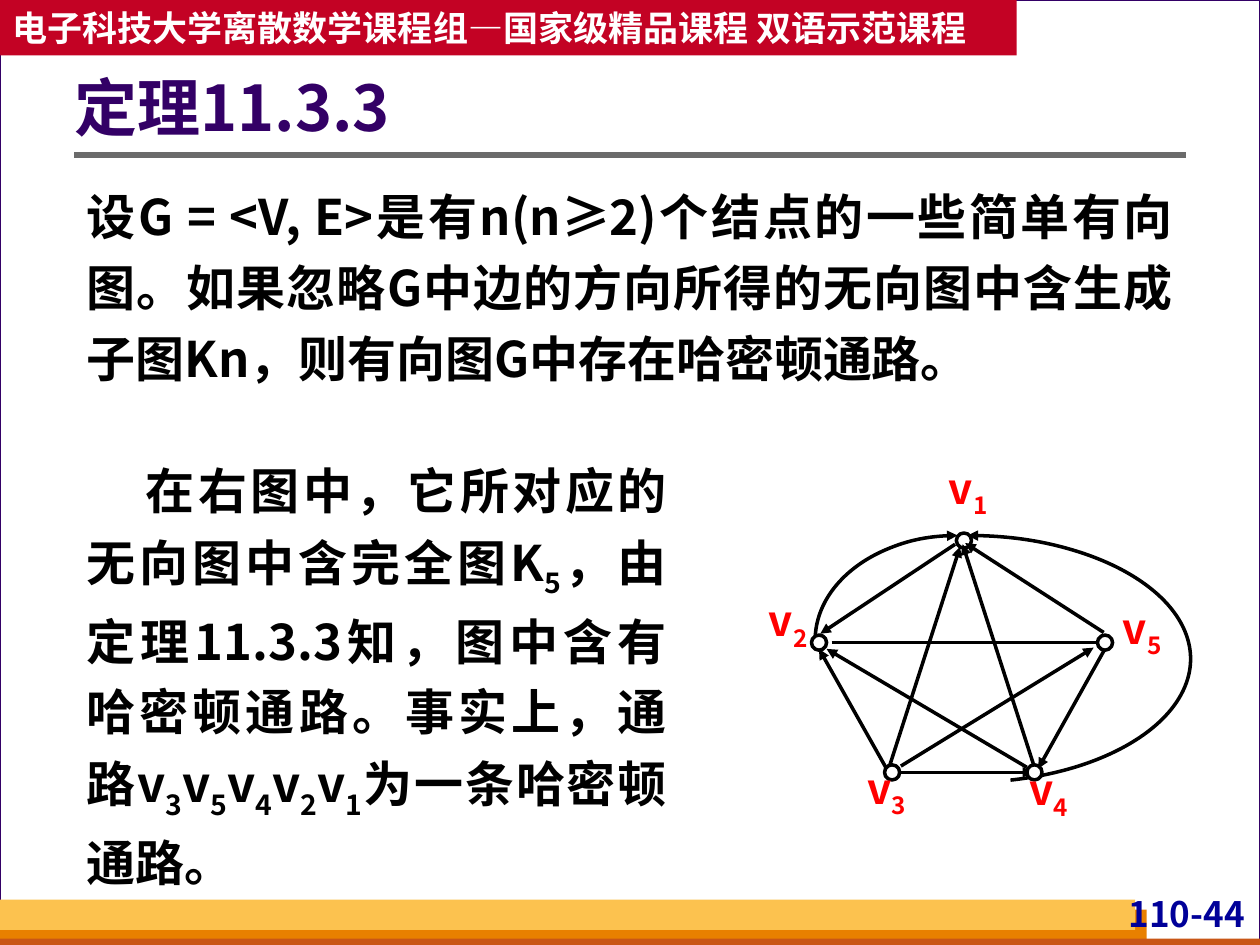
from dataclasses import dataclass

from lxml.etree import SubElement
from pptx import Presentation
from pptx.dml.color import RGBColor
from pptx.enum.shapes import MSO_CONNECTOR as Connector, MSO_SHAPE as Preset
from pptx.enum.text import MSO_ANCHOR as Anchor, MSO_AUTO_SIZE as AutoSize, PP_ALIGN as Align
from pptx.oxml.ns import qn
from pptx.util import Inches, Pt


@dataclass(frozen=True)
class Theme:
    font: str = "Noto Sans CJK SC"
    paper: str = "FFFFFF"
    backdrop: str = "D8DADA"
    purple: str = "330066"
    crimson: str = "C30224"
    gray: str = "6B6B6B"
    orange: str = "E88000"
    rust: str = "C95616"
    amber: str = "FCC24F"
    navy: str = "000099"
    ink: str = "000000"
    label: str = "FF0000"
    title_size: int = 36
    body_size: int = 28
    label_size: int = 24
    small_size: int = 20


THEME = Theme()


def color(value):
    return RGBColor.from_string(value)


def inches(box):
    return [Inches(value) for value in box]


def add_runs(paragraph, parts, size, text_color):
    """Add bold runs; every second part is a subscript."""
    for index, text in enumerate(parts):
        run = paragraph.add_run()
        run.text = text
        font = run.font
        font.name, font.size, font.bold = THEME.font, Pt(size), True
        font.color.rgb = color(text_color)
        properties = font._element
        SubElement(properties, qn("a:ea")).set("typeface", THEME.font)
        if index % 2:
            properties.set("baseline", "-25000")


def set_frame(shape, margins, anchor=Anchor.TOP, wrap=True):
    frame = shape.text_frame
    frame.auto_size = AutoSize.NONE
    frame.word_wrap = wrap
    frame.vertical_anchor = anchor
    (frame.margin_left, frame.margin_top,
     frame.margin_right, frame.margin_bottom) = inches(margins)
    return frame.paragraphs[0]


def add_preset(slide, preset, box, fill=None, line=None, width=0.75):
    shape = slide.shapes.add_shape(preset, *inches(box))
    shape.shadow.inherit = False
    if fill:
        shape.fill.solid()
        shape.fill.fore_color.rgb = color(fill)
    else:
        shape.fill.background()
    if line:
        shape.line.color.rgb = color(line)
        shape.line.width = Pt(width)
    else:
        shape.line.fill.background()
    return shape


def add_line(slide, start, end, line, width):
    connector = slide.shapes.add_connector(Connector.STRAIGHT, *inches(start + end))
    connector.line.color.rgb = color(line)
    connector.line.width = Pt(width)
    SubElement(connector._element.spPr, qn("a:effectLst"))
    return connector


def add_arrowhead(shape, end):
    line = shape.line._get_or_add_ln()
    SubElement(line, qn(f"a:{end}End")).set("type", "triangle")


def place_placeholder(placeholder, box):
    """Position a placeholder and bring it in front of the decoration."""
    placeholder.left, placeholder.top, placeholder.width, placeholder.height = inches(box)
    placeholder.element.getparent().append(placeholder.element)


def build_backdrop(slide, box):
    left, top, width, height = box
    bottom = top + height
    slide.background.fill.solid()
    slide.background.fill.fore_color.rgb = color(THEME.backdrop)
    add_preset(slide, Preset.RECTANGLE, box, THEME.paper, THEME.purple)
    # Footer bands
    for band, fill in (((left, bottom - 0.28, 9.1, 0.28), THEME.orange),
                       ((left, bottom - 0.05, width, 0.08), THEME.rust),
                       ((left, bottom - 0.36, 9.01, 0.24), THEME.amber)):
        add_preset(slide, Preset.RECTANGLE, band, fill)
    # Page number
    number = slide.shapes.add_textbox(*inches((left + 8.7, bottom - 0.42, 1.22, 0.38)))
    paragraph = set_frame(number, (0.04, 0, 0.04, 0))
    paragraph.alignment = Align.RIGHT
    add_runs(paragraph, ["110-44"], THEME.small_size, THEME.navy)
    # Course banner
    banner = add_preset(slide, Preset.RECTANGLE, (left, top, 8.07, 0.44), THEME.crimson)
    paragraph = set_frame(banner, (0.1, 0.05, 0.1, 0.05), Anchor.MIDDLE, wrap=False)
    paragraph.alignment = Align.LEFT
    add_runs(paragraph, ["电子科技大学离散数学课程组—国家级精品课程 双语示范课程"],
             THEME.small_size, THEME.paper)


def build_title(slide, box):
    left, top, width, _ = box
    add_line(slide, (left, top + 0.85), (left + width, top + 0.85), THEME.gray, 3)
    title = slide.shapes.title
    place_placeholder(title, box)
    paragraph = set_frame(title, (0, 0.05, 0.1, 0.05), Anchor.MIDDLE)
    paragraph.alignment = Align.LEFT
    paragraph.line_spacing = 0.9
    add_runs(paragraph, ["定理11.3.3"], THEME.title_size, THEME.purple)


def fill_prose(shape, parts, indent=0):
    paragraph = set_frame(shape, (0.1, 0.05, 0.1, 0.05))
    properties = paragraph._element.get_or_add_pPr()
    properties.set("marL", "0")
    properties.set("indent", str(Inches(indent)))
    SubElement(properties, qn("a:buNone"))
    paragraph.alignment = Align.JUSTIFY
    paragraph.line_spacing = 1.2
    paragraph.space_before = Pt(0)
    add_runs(paragraph, parts, THEME.body_size, THEME.ink)


def build_theorem(slide, box):
    body = slide.placeholders[1]
    place_placeholder(body, box)
    fill_prose(body, ["设G = <V, E>是有n(n≥2)个结点的一些简单有向图。如果忽略G中边的方向"
                      "所得的无向图中含生成子图Kn，则有向图G中存在哈密顿通路。"])


def build_example(slide, box):
    example = slide.shapes.add_textbox(*inches(box))
    fill_prose(example, ["在右图中，它所对应的无向图中含完全图K", "5",
                         "，由定理11.3.3知，图中含有哈密顿通路。事实上，通路v", "3",
                         "v", "5", "v", "4", "v", "2", "v", "1", "为一条哈密顿通路。"], 0.47)


def build_graph(slide, box):
    left, top = box[:2]

    def at(point):
        return left + point[0], top + point[1]

    # Plain edge, then arrows from tail to tip
    add_line(slide, at((0.58, 1.43)), at((2.7, 1.43)), THEME.ink, 2)
    for start, end in (((1.03, 2.44), (1.6, 0.67)),    # v3 to v1
                       ((2.19, 2.42), (1.62, 0.65)),   # v4 to v1
                       ((1.13, 2.41), (2.66, 1.47)),   # v3 to v5
                       ((1.56, 0.65), (0.49, 1.36)),   # v1 to v2
                       ((2.75, 1.48), (2.22, 2.43)),   # v5 to v4
                       ((1.12, 2.46), (2.18, 2.46)),   # v3 to v4
                       ((2.13, 2.42), (0.54, 1.48)),   # v4 to v2
                       ((2.74, 1.35), (1.64, 0.64)),   # v5 to v1
                       ((1.01, 2.42), (0.48, 1.48))):  # v3 to v2
        add_arrowhead(add_line(slide, at(start), at(end), THEME.ink, 2), "tail")

    # Curved arrows into v1: corner, size, start and end in degrees
    for corner, size, angles, tip in (((-0.11, 0.58), (3.54, 1.96), (270, 70.5), "head"),
                                      ((0.45, 0.58), (2.26, 1.66), (180, 270), "tail")):
        arc = add_preset(slide, Preset.ARC, at(corner) + size, line=THEME.ink, width=2)
        for index, degrees in enumerate(angles):
            arc.adjustments[index] = degrees * 0.6
        add_arrowhead(arc, tip)

    # Vertices: circle centre and label corner
    diameter = 0.12
    vertices = (((1.63, 0.62), (1.43, 0)), ((0.48, 1.43), (0, 1.05)),
                ((1.06, 2.46), (0.78, 2.38)), ((2.19, 2.46), (2.07, 2.39)),
                ((2.75, 1.43), (2.81, 1.11)))
    for number, (center, corner) in enumerate(vertices, start=1):
        x, y = at(center)
        circle = (x - diameter / 2, y - diameter / 2, diameter, diameter)
        add_preset(slide, Preset.OVAL, circle, None if number == 1 else THEME.paper,
                   THEME.ink, 2)
        label = slide.shapes.add_textbox(*inches(at(corner) + (0.47, 0.46)))
        paragraph = set_frame(label, (0, 0, 0, 0))
        paragraph.alignment = Align.CENTER
        add_runs(paragraph, ["v", str(number)], THEME.label_size, THEME.label)


def main():
    presentation = Presentation()
    presentation.slide_width, presentation.slide_height = inches((10, 7.5))
    slide = presentation.slides.add_slide(presentation.slide_layouts[1])
    build_backdrop(slide, (0, 0, 10, 7.5))
    build_title(slide, (0.59, 0.38, 8.82, 1.01))
    build_theorem(slide, (0.59, 1.34, 8.82, 1.78))
    build_graph(slide, (6.02, 3.67, 3.43, 2.85))
    build_example(slide, (0.59, 3.51, 4.8, 3.62))
    presentation.save("out.pptx")


if __name__ == "__main__":
    main()
